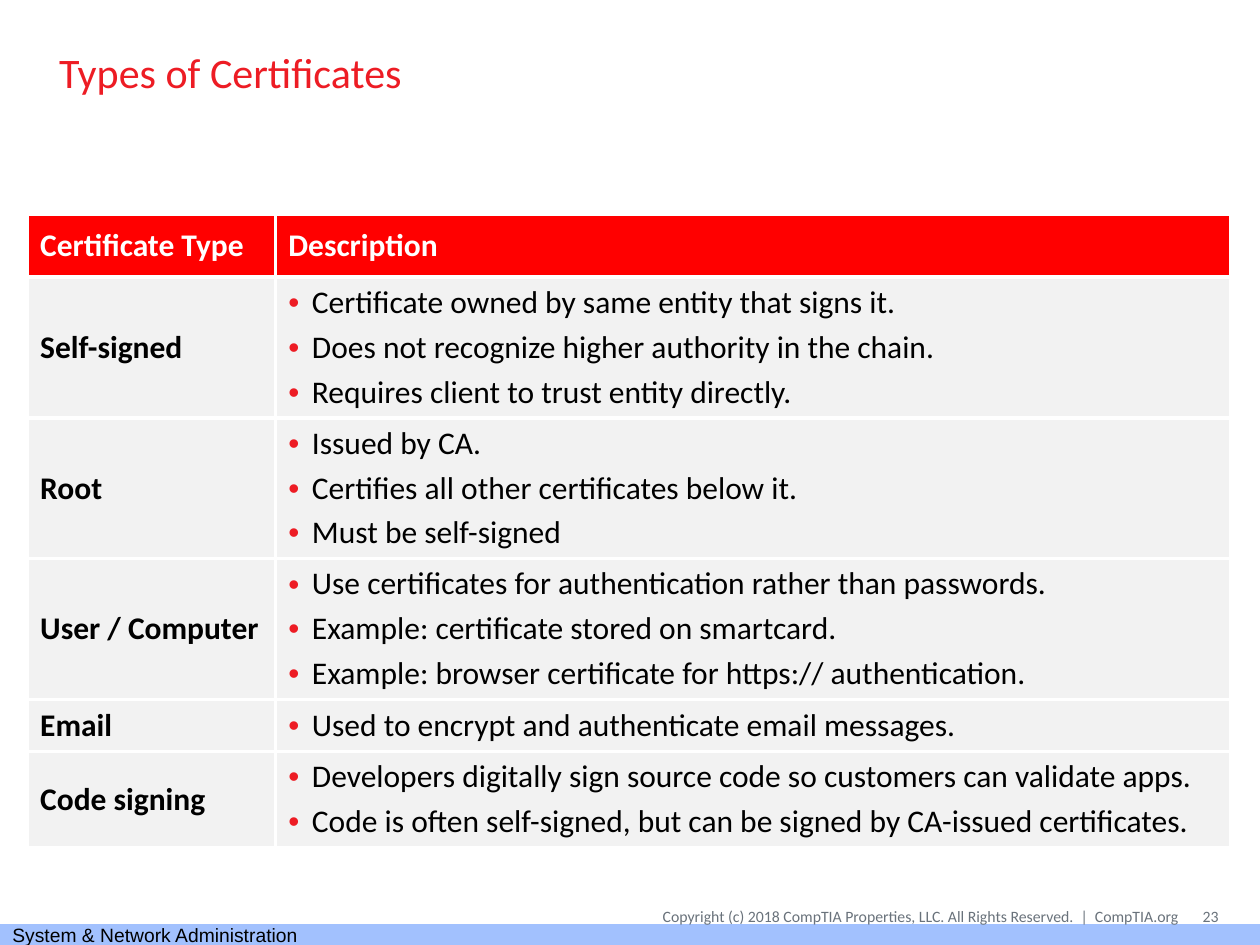
"""Build the Types of Certificates slide with its table and footer."""
from lxml.etree import SubElement
from pptx import Presentation
from pptx.dml.color import RGBColor
from pptx.enum.shapes import MSO_SHAPE
from pptx.enum.text import MSO_ANCHOR, PP_ALIGN
from pptx.oxml import parse_xml
from pptx.oxml.ns import nsdecls, qn
from pptx.util import Pt

COLORS = {
    "title": "ED1C24", "header": "FF0000", "row": "F2F2F2", "white": "FFFFFF",
    "black": "000000", "footer": "69727B", "bar": "A2C1FE",
}
ROWS = [
    ("Certificate Type", ["Description"], 36),
    ("Self-signed", ["Certificate owned by same entity that signs it.",
                     "Does not recognize higher authority in the chain.",
                     "Requires client to trust entity directly."], 80.4),
    ("Root", ["Issued by CA.",
              "Certifies all other certificates below it.",
              "Must be self-signed"], 80.4),
    ("User / Computer", ["Use certificates for authentication rather than passwords.",
                         "Example: certificate stored on smartcard.",
                         "Example: browser certificate for https:// authentication."], 80.4),
    ("Email", ["Used to encrypt and authenticate email messages."], 29.8),
    ("Code signing", ["Developers digitally sign source code so customers can validate apps.",
                      "Code is often self-signed, but can be signed by CA-issued certificates."], 54.8),
]


def write(p, text, color, size, name="Calibri", bold=False, align=PP_ALIGN.LEFT):
    p.alignment = align
    r = p.add_run()
    r.text = text
    for key, value in {"size": Pt(size), "name": name, "bold": bold}.items():
        setattr(r.font, key, value)
    r.font.color.rgb = RGBColor.from_string(COLORS[color])


def add_bullet(p):
    pPr = p._p.get_or_add_pPr()
    pPr.set("marL", str(Pt(13.5)))
    pPr.set("indent", str(-Pt(13.5)))
    SubElement(SubElement(pPr, qn("a:buClr")), qn("a:srgbClr"), val=COLORS["title"])
    SubElement(pPr, qn("a:buFont"), typeface="Arial")
    SubElement(pPr, qn("a:buChar"), char="•")


prs = Presentation()
prs.slide_width, prs.slide_height = Pt(720), Pt(540)
s = prs.slides.add_slide(prs.slide_layouts[5])

bar = s.shapes.add_shape(MSO_SHAPE.RECTANGLE, Pt(0), Pt(528), Pt(720), Pt(12))
bar.shadow.inherit = False
bar.fill.solid()
bar.fill.fore_color.rgb = RGBColor.from_string(COLORS["bar"])
bar.line.fill.background()
bar.text_frame.word_wrap = False
bar.text_frame.vertical_anchor = MSO_ANCHOR.MIDDLE
write(bar.text_frame.paragraphs[0], "System & Network Administration", "black", 11, "Arial")

title = s.shapes.title
for key, value in {"left": 26.6, "top": 7.9, "width": 666, "height": 66.2}.items():
    setattr(title, key, Pt(value))
title.text_frame.vertical_anchor = MSO_ANCHOR.MIDDLE
write(title.text_frame.paragraphs[0], "Types of Certificates", "title", 24)

for text, left, width, inset in [
    ("Copyright (c) 2018 CompTIA Properties, LLC. All Rights Reserved.  |  CompTIA.org", 279.4, 393.8, 0),
    ("23", 675.4, 20.9, 7.2),
]:
    tf = s.shapes.add_textbox(Pt(left), Pt(512.6), Pt(width), Pt(21.6)).text_frame
    for key, value in {"word_wrap": True, "vertical_anchor": MSO_ANCHOR.MIDDLE,
                       "margin_left": Pt(inset), "margin_right": Pt(0)}.items():
        setattr(tf, key, value)
    write(tf.paragraphs[0], text, "footer", 9, align=PP_ALIGN.RIGHT)

height = sum(row[2] for row in ROWS)
table = s.shapes.add_table(len(ROWS), 2, Pt(15.8), Pt(122.4), Pt(687.6), Pt(height)).table
for column, width in zip(table.columns, (141.8, 545.8)):
    column.width = Pt(width)

for i, (kind, details, row_height) in enumerate(ROWS):
    table.rows[i].height = Pt(row_height)
    for j, lines in enumerate(([kind], details)):
        cell = table.cell(i, j)
        cell.vertical_anchor = MSO_ANCHOR.MIDDLE
        tcPr = cell._tc.get_or_add_tcPr()
        for side in ("lnL", "lnR", "lnT", "lnB"):
            tcPr.append(parse_xml(
                f'<a:{side} {nsdecls("a")} w="{Pt(2.25)}"><a:solidFill>'
                f'<a:srgbClr val="{COLORS["white"]}"/></a:solidFill></a:{side}>'))
        cell.fill.solid()
        cell.fill.fore_color.rgb = RGBColor.from_string(COLORS["row" if i else "header"])
        tf = cell.text_frame
        for n, line in enumerate(lines):
            p = tf.add_paragraph() if n else tf.paragraphs[0]
            if i and j:
                add_bullet(p)
            p.space_before = Pt(3.6 if n else 0)
            write(p, line, "black" if i else "white", 18, bold=not (i and j))

prs.save("out.pptx")
